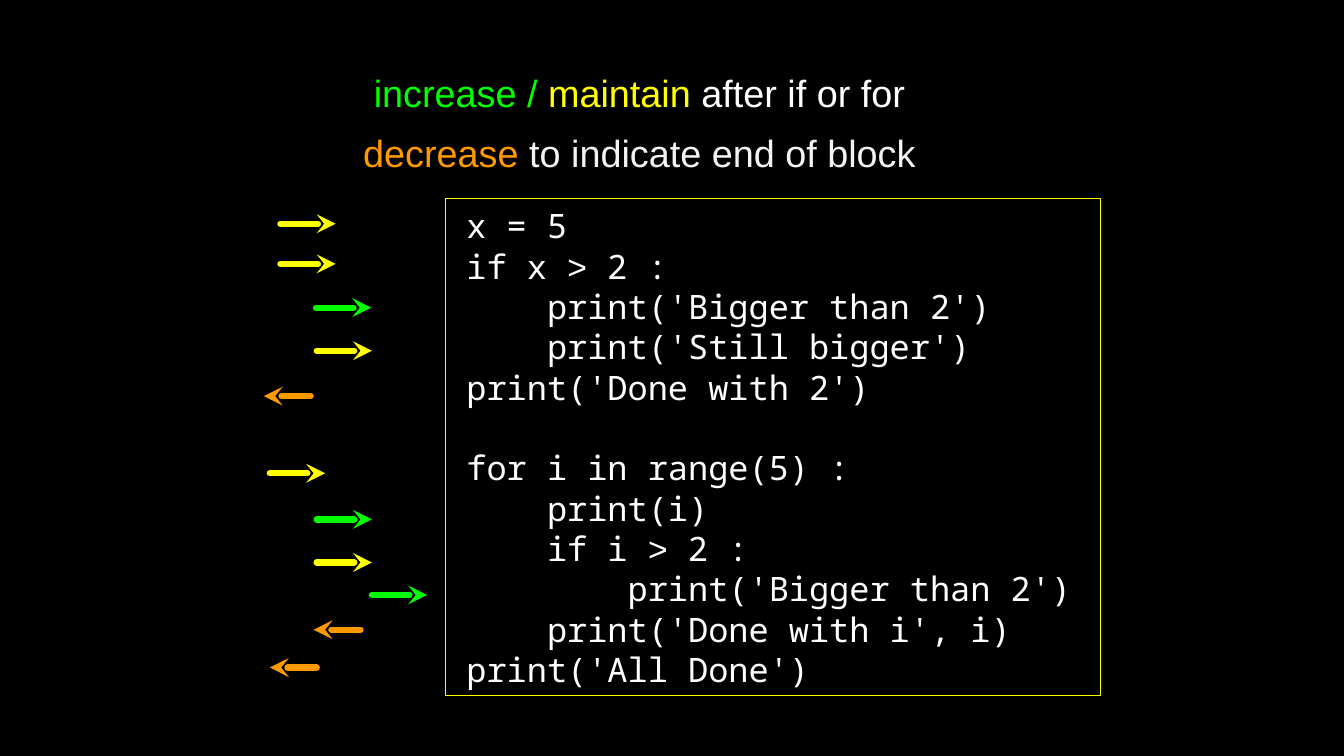
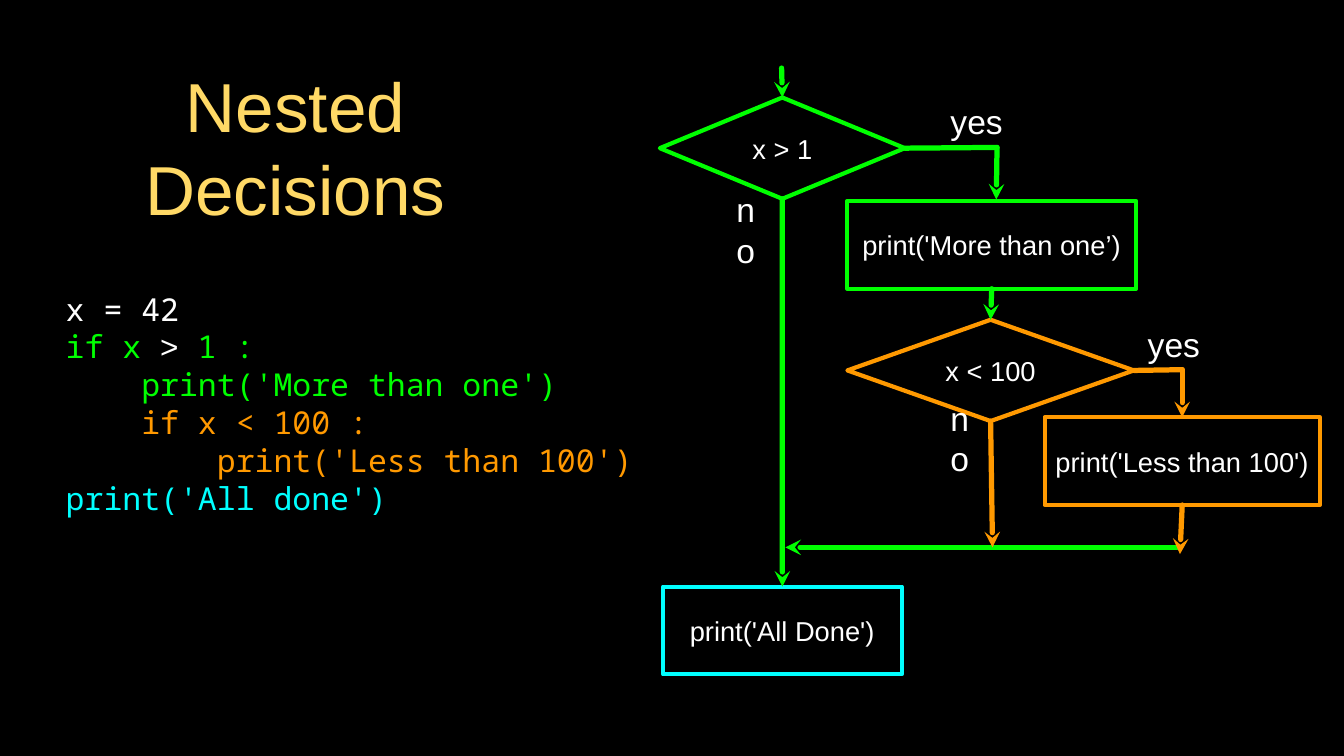
from lxml import etree
from pptx import Presentation
from pptx.dml.color import RGBColor
from pptx.enum import shapes, text
from pptx.oxml import ns
from pptx.util import Inches, Pt

BLACK = RGBColor(0x00, 0x00, 0x00)
WHITE = RGBColor(0xFF, 0xFF, 0xFF)
PALE = RGBColor(0xF3, 0xF3, 0xF3)
GREEN = RGBColor(0x00, 0xFF, 0x00)
YELLOW = RGBColor(0xFF, 0xFF, 0x00)
ORANGE = RGBColor(0xFF, 0x99, 0x00)
CYAN = RGBColor(0x00, 0xFF, 0xFF)
GOLD = RGBColor(0xFF, 0xD9, 0x66)

SANS, MONO = "Arial", "Noto Sans Mono"
LEADING = 1.2
TOP, BOTTOM, RIGHT = 0, 2, 3  # connection sites

CENTER, LEFT = text.PP_ALIGN.CENTER, text.PP_ALIGN.LEFT
RECT, DIAMOND = shapes.MSO_SHAPE.RECTANGLE, shapes.MSO_SHAPE.DIAMOND

# Indentation arrows: colour, length, points right
MAINTAIN = (YELLOW, 0.73, True)
INCREASE = (GREEN, 0.73, True)
DECREASE = (ORANGE, 0.62, False)


# Shared helpers
def inches(*values):
    return [Inches(v) for v in values]


def write(sp, lines, size, font=SANS, align=CENTER, gap=0, indent=0):
    """Fill a shape with lines, each a list of (words, colour) spans."""
    tf = sp.text_frame
    tf.word_wrap = True
    tf.auto_size = text.MSO_AUTO_SIZE.NONE
    tf.vertical_anchor = text.MSO_ANCHOR.MIDDLE
    tf.margin_left = Inches(indent)
    tf.margin_right = tf.margin_top = tf.margin_bottom = 0
    for i, spans in enumerate(lines):
        p = tf.add_paragraph() if i else tf.paragraphs[0]
        p.alignment = align
        p.line_spacing = Pt(size * LEADING)
        p.space_before = Pt(gap if i else 0)
        for words, color in spans:
            r = p.add_run()
            r.text = words
            r.font.size = Pt(size)
            r.font.name = SANS if words == ">" else font
            r.font.color.rgb = color
    return tf


def set_title(s, box, lines, size, gap=0):
    sp = s.shapes.title
    sp.left, sp.top, sp.width, sp.height = inches(*box)
    write(sp, lines, size, gap=gap)


def outlined(s, kind, box, color, width):
    sp = s.shapes.add_shape(kind, *inches(*box))
    sp.shadow.inherit = False
    sp.fill.background()
    sp.line.color.rgb = color
    sp.line.width = Pt(width)
    return sp


def link(s, start, end, color, width, tip=True):
    """Draw a line; each end is an (x, y) point or a (shape, site) pair."""
    glued = [not isinstance(e[0], (int, float)) for e in (start, end)]
    points = [(0, 0) if g else e for g, e in zip(glued, (start, end))]
    c = s.shapes.add_connector(shapes.MSO_CONNECTOR.STRAIGHT,
                               *inches(*points[0], *points[1]))
    if glued[0]:
        c.begin_connect(*start)
    if glued[1]:
        c.end_connect(*end)
    c.line.color.rgb = color
    c.line.width = Pt(width)
    ln = c.line._get_or_add_ln()
    ln.set("cap", "rnd")
    if tip:
        etree.SubElement(ln, ns.qn("a:tailEnd"), type="stealth")
    etree.SubElement(c._element.spPr, ns.qn("a:effectLst"))


# Slide 1: code with indentation arrows
def code_panel(s, box):
    code = [
        "x = 5",
        "if x > 2 :",
        "    print('Bigger than 2')",
        "    print('Still bigger')",
        "print('Done with 2')",
        "for i in range(5) :",
        "    print(i)",
        "    if i > 2 :",
        "        print('Bigger than 2')",
        "    print('Done with i', i)",
        "print('All Done')",
    ]
    size = 32
    sp = outlined(s, RECT, box, YELLOW, 1)
    lines = [[(part, WHITE) for part in row.partition(">") if part] for row in code]
    tf = write(sp, lines, size, MONO, LEFT, indent=0.27)
    # One free line ahead of the loop
    tf.paragraphs[5].space_before = Pt(size * LEADING)


def indent_arrows(s, left, top):
    arrows = [
        (0.22, 0, MAINTAIN), (0.22, 0.53, MAINTAIN), (0.69, 1.11, INCREASE),
        (0.7, 1.68, MAINTAIN), (0, 2.28, DECREASE), (0.08, 3.3, MAINTAIN),
        (0.7, 3.91, INCREASE), (0.7, 4.48, MAINTAIN), (1.43, 4.91, INCREASE),
        (0.66, 5.37, DECREASE), (0.08, 5.87, DECREASE),
    ]
    for x, y, (color, length, rightward) in arrows:
        ends = [(left + x, top + y), (left + x + length, top + y)]
        start, end = ends if rightward else ends[::-1]
        link(s, start, end, color, 6)


def indentation_slide(s):
    set_title(s, (4.53, 0.92, 7.86, 1.4), [
        [("increase / ", GREEN), ("maintain ", YELLOW), ("after if or for", WHITE)],
        [("decrease ", ORANGE), ("to indicate end of block", PALE)],
    ], 36, gap=14.4)
    code_panel(s, (5.9, 2.63, 8.66, 6.57))
    indent_arrows(s, 3.49, 2.96)


# Slide 2: nested decisions
def nested_code(s, box):
    lines = [
        [("x = 42", WHITE)],
        [("if x ", GREEN), (">", WHITE), (" 1 :", GREEN)],
        [("    print('More than one')", GREEN)],
        [("    if x < 100 :", ORANGE)],
        [("        print('Less than 100')", ORANGE)],
        [("print('All done')", CYAN)],
    ]
    write(s.shapes.add_textbox(*inches(*box)), lines, 30, MONO, LEFT)


def flowchart(s, left, top):
    def at(x, y):
        return left + x, top + y

    def node(kind, x, y, width, height, words, color):
        sp = outlined(s, kind, (*at(x, y), width, height), color, 4)
        write(sp, [[(words, WHITE)]], 26)
        return sp

    def flow(start, end, color, tip=True):
        link(s, start, end, color, 5, tip)

    # Decisions and steps
    over_one = node(DIAMOND, 0.03, 0.39, 3.24, 1.34, "x > 1", GREEN)
    more = node(RECT, 2.51, 1.76, 3.82, 1.16, "print('More than one’)", GREEN)
    under_100 = node(DIAMOND, 2.51, 3.33, 3.79, 1.34, "x < 100", ORANGE)
    less = node(RECT, 5.12, 4.62, 3.64, 1.16, "print('Less than 100')", ORANGE)
    done = node(RECT, 0.07, 6.86, 3.16, 1.16, "print('All Done')", CYAN)

    # Outer decision
    outer_turn, inner_turn = at(4.49, 1.05), at(6.94, 3.99)
    flow(at(1.64, 0), (over_one, TOP), GREEN)
    flow((over_one, RIGHT), outer_turn, GREEN, tip=False)
    flow(outer_turn, at(4.48, 1.74), GREEN)
    flow((over_one, BOTTOM), (done, TOP), GREEN)
    flow((more, BOTTOM), (under_100, TOP), GREEN)

    # Inner decision and the way back
    flow((under_100, RIGHT), inner_turn, ORANGE, tip=False)
    flow(inner_turn, (less, TOP), ORANGE)
    flow(at(6.88, 6.34), at(1.69, 6.34), GREEN)
    flow((under_100, BOTTOM), at(4.43, 6.34), ORANGE)
    flow((less, BOTTOM), at(6.91, 6.43), ORANGE)

    # Branch labels
    for x, y, width, answer in [(3.72, 0.45, 1, "yes"), (6.33, 3.39, 1, "yes"),
                                (3.75, 4.64, 0.49, "no"), (0.92, 1.88, 0.49, "no")]:
        sp = s.shapes.add_textbox(*inches(*at(x, y), width, 0.51))
        write(sp, [[(answer, WHITE)]], 32)


def decisions_slide(s):
    set_title(s, (1.28, 0.75, 5.26, 2.37), [[("Nested Decisions", GOLD)]], 66)
    nested_code(s, (0.87, 3.51, 7.6, 3.64))
    flowchart(s, 8.7, 0.9)


def main():
    prs = Presentation()
    prs.slide_width, prs.slide_height = inches(17.78, 10)
    fill = prs.slide_master.background.fill
    fill.solid()
    fill.fore_color.rgb = BLACK
    title_only = prs.slide_layouts.get_by_name("Title Only")
    for build in (indentation_slide, decisions_slide):
        build(prs.slides.add_slide(title_only))
    prs.save("out.pptx")


if __name__ == "__main__":
    main()
